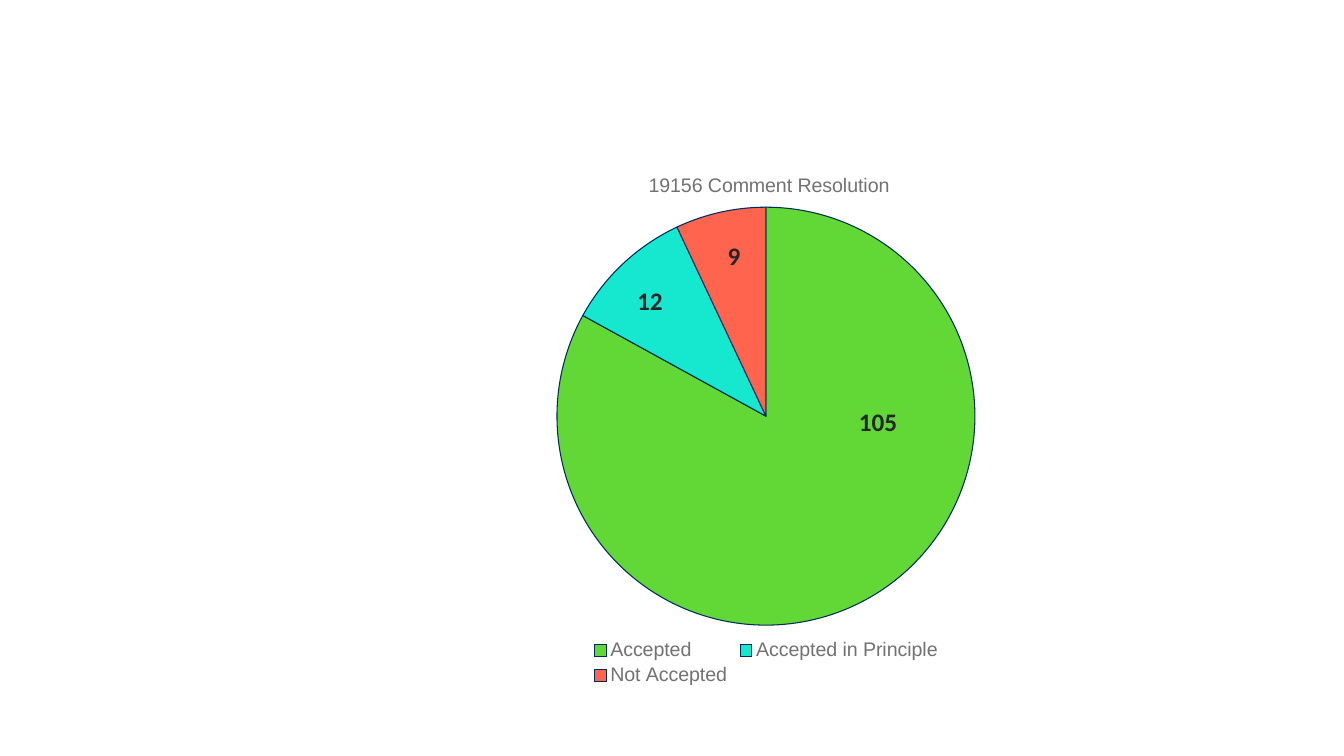
from dataclasses import dataclass

import pptx
import pptx.chart.data
import pptx.dml.color
import pptx.enum.chart
import pptx.enum.text
import pptx.oxml
import pptx.oxml.ns
import pptx.util

Pt = pptx.util.Pt
DARK, GREY, EDGE = "262626", "727272", "002B5C"


@dataclass
class Slice:
    name: str
    share: int
    fill: str
    count: str
    left: float
    top: float
    width: float


SLICES = [
    Slice("Accepted", 83, "61D836", "105", 1222.5, 576, 63.5),
    Slice("Accepted in Principle", 10, "16E7CF", "12", 906, 403, 44.5),
    Slice("Not Accepted", 7, "FF644E", "9", 1035.5, 338.5, 26.5),
]


def color(code: str) -> pptx.dml.color.RGBColor:
    return pptx.dml.color.RGBColor.from_string(code)


def style(font, size: float, code: str, face: str = "Arial", bold: bool = False) -> None:
    font.size = Pt(size)
    font.name = face
    font.bold = bold
    font.color.rgb = color(code)


def text(slide, words: str, *, left: float, top: float, width: float,
         height: float, size: float, code: str, face: str, bold: bool) -> None:
    box = slide.shapes.add_textbox(Pt(left), Pt(top), Pt(width), Pt(height))
    frame = box.text_frame
    frame.margin_left = frame.margin_right = Pt(4)
    frame.margin_top = frame.margin_bottom = Pt(4)
    frame.word_wrap = False
    frame.auto_size = pptx.enum.text.MSO_AUTO_SIZE.SHAPE_TO_FIT_TEXT
    frame.vertical_anchor = pptx.enum.text.MSO_ANCHOR.MIDDLE
    para = frame.paragraphs[0]
    para.alignment = pptx.enum.text.PP_ALIGN.CENTER
    run = para.add_run()
    run.text = words
    style(run.font, size, code, face, bold)


def place(part, index: int, inner: bool = False, **spots: float) -> None:
    for old in part.findall(pptx.oxml.ns.qn("c:layout")):
        part.remove(old)
    target = '<c:layoutTarget val="inner"/>' if inner else ""
    modes = "".join(f'<c:{key}Mode val="edge"/>' for key in spots if key in "xy")
    sizes = "".join(f'<c:{key} val="{val}"/>' for key, val in spots.items())
    part.insert(index, pptx.oxml.parse_xml(
        f'<c:layout {pptx.oxml.ns.nsdecls("c")}><c:manualLayout>'
        f"{target}{modes}{sizes}</c:manualLayout></c:layout>"))


def draw_pie(slide, slices: list[Slice]) -> None:
    data = pptx.chart.data.CategoryChartData()
    data.categories = [item.name for item in slices]
    data.add_series("Series 1", [item.share for item in slices])
    chart = slide.shapes.add_chart(
        pptx.enum.chart.XL_CHART_TYPE.PIE,
        Pt(639.5), Pt(219.5), Pt(909.5), Pt(765.5), data).chart
    style(chart.font, 10, DARK)

    chart.has_title = True
    title = chart.chart_title
    title.include_in_layout = False
    title.text_frame.text = "19156 Comment Resolution"
    style(title.text_frame.paragraphs[0].runs[0].font, 28, GREY)

    chart.has_legend = True
    legend = chart.legend
    legend.position = pptx.enum.chart.XL_LEGEND_POSITION.BOTTOM
    legend.include_in_layout = False
    style(legend.font, 28, GREY)

    plot = chart.plots[0]
    plot.vary_by_categories = True
    for index, item in enumerate(slices):
        look = plot.series[0].points[index].format
        look.fill.solid()
        look.fill.fore_color.rgb = color(item.fill)
        look.line.width = Pt(1.5)
        look.line.color.rgb = color(EDGE)

    root = chart.element.find(pptx.oxml.ns.qn("c:chart"))
    place(root.find(pptx.oxml.ns.qn("c:title")), 1, x=0.31, y=0.03)
    place(root.find(pptx.oxml.ns.qn("c:plotArea")), 0, inner=True,
          x=0.17, y=0.1, w=0.66, h=0.78)
    place(root.find(pptx.oxml.ns.qn("c:legend")), 1, x=0.22, y=0.9, w=0.56, h=0.1)


def main() -> None:
    deck = pptx.Presentation()
    deck.slide_width, deck.slide_height = Pt(1920), Pt(1080)
    slide = deck.slides.add_slide(deck.slide_layouts[6])
    draw_pie(slide, SLICES)
    for item in SLICES:
        text(slide, item.count, left=item.left, top=item.top, width=item.width,
             height=52, size=36, code=DARK, face="Calibri", bold=True)
    deck.save("out.pptx")


if __name__ == "__main__":
    main()
